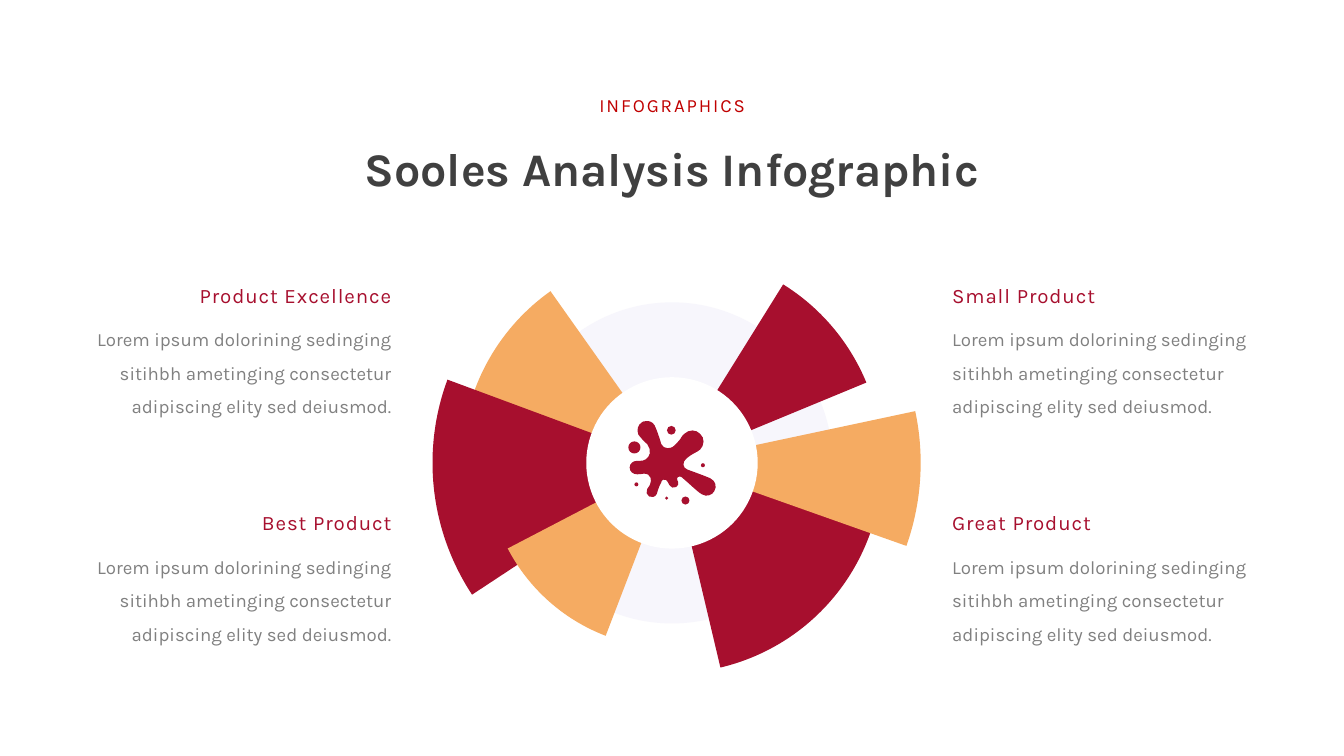
from lxml.etree import SubElement
from pptx import Presentation
from pptx.dml.color import RGBColor
from pptx.enum.shapes import MSO_SHAPE as Preset
from pptx.enum.text import MSO_ANCHOR as Anchor, MSO_AUTO_SIZE as AutoSize, PP_ALIGN as Align
from pptx.oxml.ns import qn
from pptx.util import Cm, Pt

COLORS = {"red": "A70F2E", "orange": "F5AB62", "pale": "F7F6FC", "white": "FFFFFF",
          "label": "C00000", "title": "404040", "body": "808080"}
FONT = "Karla"

LABEL = "INFOGRAPHICS"
TITLE = "Sooles Analysis Infographic"
BODY = ("Lorem ipsum dolorining sedinging sitihbh ametinging consectetur "
        "adipiscing elity sed deiusmod.")
# Each column: left edge in cm, alignment, headings from top to bottom
COLUMNS = [
    (3.42, Align.RIGHT, ["Product Excellence", "Best Product"]),
    (35.74, Align.LEFT, ["Small Product", "Great Product"]),
]
ROW_TOP, ROW_STEP, BODY_DROP, COLUMN_WIDTH = 10.56, 8.6, 1.29, 11.63

# Wheel: radii in cm, angles in degrees clockwise from the right
CENTER = (25.4, 17.5)
DISC_RADIUS, HUB_RADIUS = 6.07, 3.24
WEDGES = [
    ("red", 7.95, 301.92, 337.54),
    ("red", 7.95, 9.12, 76.68),
    ("orange", 7.95, 188.68, 234.72),
    ("orange", 9.4, 347.99, 19.5),
    ("red", 9.05, 146.6, 200.34),
    ("orange", 7, 110.97, 152.46),
]

# Splash icon on a grid of 0.00254 cm: droplets are (x, y, radius)
SPLASH_ORIGIN, SPLASH_UNIT = (23.75, 15.9), 0.00254
DROPLETS = [(850, 1190, 60), (570, 1155, 25), (120, 950, 30),
            (1110, 665, 30), (90, 400, 90), (640, 145, 65)]
BLOB_START = (260, 10)
# Each curve, in tens of grid units: two control points and an end point
BLOB_CURVES = [
    (31, 0, 36, 2, 39, 7), (41, 11, 46, 24, 49, 35), (51, 39, 54, 41, 58, 41),
    (65, 41, 67, 40, 77, 28), (79, 25, 81, 21, 83, 20), (90, 13, 101, 13, 107, 20),
    (114, 26, 113, 37, 107, 43), (103, 47, 95, 49, 87, 56), (84, 59, 81, 62, 82, 66),
    (82, 69, 85, 72, 88, 73), (102, 78, 118, 84, 122, 86), (130, 90, 132, 98, 128, 105),
    (125, 111, 116, 114, 110, 110), (105, 108, 91, 94, 79, 84), (78, 83, 75, 83, 74, 84),
    (72, 85, 72, 87, 73, 89), (74, 90, 74, 90, 74, 91), (75, 94, 74, 98, 71, 99),
    (67, 101, 63, 100, 61, 96), (61, 95, 60, 94, 59, 92), (58, 89, 55, 87, 52, 88),
    (50, 89, 49, 90, 49, 92), (44, 101, 43, 108, 42, 110), (39, 114, 35, 115, 31, 113),
    (27, 111, 26, 106, 28, 102), (29, 100, 31, 98, 32, 96), (33, 92, 35, 88, 33, 85),
    (32, 81, 28, 79, 23, 79), (18, 80, 14, 80, 13, 80), (7, 80, 2, 76, 2, 70),
    (2, 64, 7, 60, 13, 60), (13, 60, 15, 60, 16, 60), (24, 61, 30, 56, 32, 49),
    (33, 44, 31, 39, 28, 35), (23, 31, 19, 26, 15, 21), (12, 14, 14, 6, 21, 2),
    (22, 1, 24, 1, 26, 1),
]


def color(name):
    return RGBColor.from_string(COLORS[name])


def paint(shape, fill):
    shape.shadow.inherit = False
    shape.fill.solid()
    shape.fill.fore_color.rgb = color(fill)
    shape.line.fill.background()


def add_round(slide, preset, radius, fill):
    x, y = CENTER
    shape = slide.shapes.add_shape(preset, Cm(x - radius), Cm(y - radius),
                                   Cm(2 * radius), Cm(2 * radius))
    paint(shape, fill)
    return shape


def write(shape, box, text, size, fill, align, bold=False, tracking=0, line_spacing=None):
    shape.left, shape.top, shape.width, shape.height = map(Cm, box)
    frame = shape.text_frame
    frame.text = text
    frame.word_wrap = True
    frame.auto_size = AutoSize.SHAPE_TO_FIT_TEXT
    frame.vertical_anchor = Anchor.TOP
    paragraph = frame.paragraphs[0]
    paragraph.alignment = align
    if line_spacing:
        paragraph.line_spacing = line_spacing
    run = paragraph.runs[0]
    run.font.name, run.font.size, run.font.bold = FONT, Pt(size), bold
    run.font.color.rgb = color(fill)
    if tracking:
        run.font._element.set("spc", str(tracking * 100))


def add_text(slide, box, *args, **options):
    write(slide.shapes.add_textbox(0, 0, 0, 0), box, *args, **options)


def droplet_outline(x, y, radius):
    """Start point and four curves of a circle."""
    pull = 0.55
    corners = [(0, -1), (1, 0), (0, 1), (-1, 0), (0, -1)]
    curves = []
    for (ax, ay), (bx, by) in zip(corners, corners[1:]):
        points = [(ax + pull * bx, ay + pull * by), (bx + pull * ax, by + pull * ay), (bx, by)]
        curves.append([(round(x + radius * px), round(y + radius * py)) for px, py in points])
    return (x, y - radius), curves


def add_splash(slide):
    blob = [[(10 * curve[i], 10 * curve[i + 1]) for i in (0, 2, 4)] for curve in BLOB_CURVES]
    outlines = [droplet_outline(*droplet) for droplet in DROPLETS] + [(BLOB_START, blob)]

    # Outline through the end points
    builder = slide.shapes.build_freeform(*outlines[0][0], scale=Cm(1) * SPLASH_UNIT)
    for number, (start, curves) in enumerate(outlines):
        if number:
            builder.move_to(*start)
        builder.add_line_segments([curve[-1] for curve in curves], close=True)
    shape = builder.convert_to_shape(*map(Cm, SPLASH_ORIGIN))
    paint(shape, "red")

    # Bend each straight segment into its curve
    all_curves = [curve for _, curves in outlines for curve in curves]
    left = min(curve[-1][0] for curve in all_curves)
    top = min(curve[-1][1] for curve in all_curves)
    segments = list(shape._element.iter(qn("a:lnTo")))
    for segment, curve in zip(segments, all_curves):
        segment.tag = qn("a:cubicBezTo")
        segment.remove(segment[0])
        for x, y in curve:
            SubElement(segment, qn("a:pt"), x=str(x - left), y=str(y - top))


def main():
    presentation = Presentation()
    presentation.slide_width, presentation.slide_height = Cm(50.8), Cm(28.58)
    slide = presentation.slides.add_slide(presentation.slide_layouts[5])

    # Heading
    add_text(slide, (12.85, 3.41, 25.12, 1.12), LABEL, 20, "label", Align.CENTER, tracking=2)
    write(slide.shapes.title, (12.84, 5.16, 25.12, 2.39), TITLE, 50, "title",
          Align.CENTER, bold=True)

    # Wheel
    add_round(slide, Preset.OVAL, DISC_RADIUS, "pale")
    for fill, radius, start, end in WEDGES:
        wedge = add_round(slide, Preset.PIE, radius, fill)
        # Pie angles count 60000 per degree, adjustments 100000 per unit
        wedge.adjustments[0] = start * 0.6
        wedge.adjustments[1] = end * 0.6
    add_round(slide, Preset.OVAL, HUB_RADIUS, "white")
    add_splash(slide)

    # Text columns
    for left, align, headings in COLUMNS:
        for row, heading in enumerate(headings):
            top = ROW_TOP + row * ROW_STEP
            add_text(slide, (left, top + BODY_DROP, COLUMN_WIDTH, 3.99), BODY, 20, "body",
                     align, line_spacing=1.5)
            add_text(slide, (left, top, COLUMN_WIDTH, 1.19), heading, 22, "red",
                     align, tracking=1)

    presentation.save("out.pptx")


if __name__ == "__main__":
    main()
